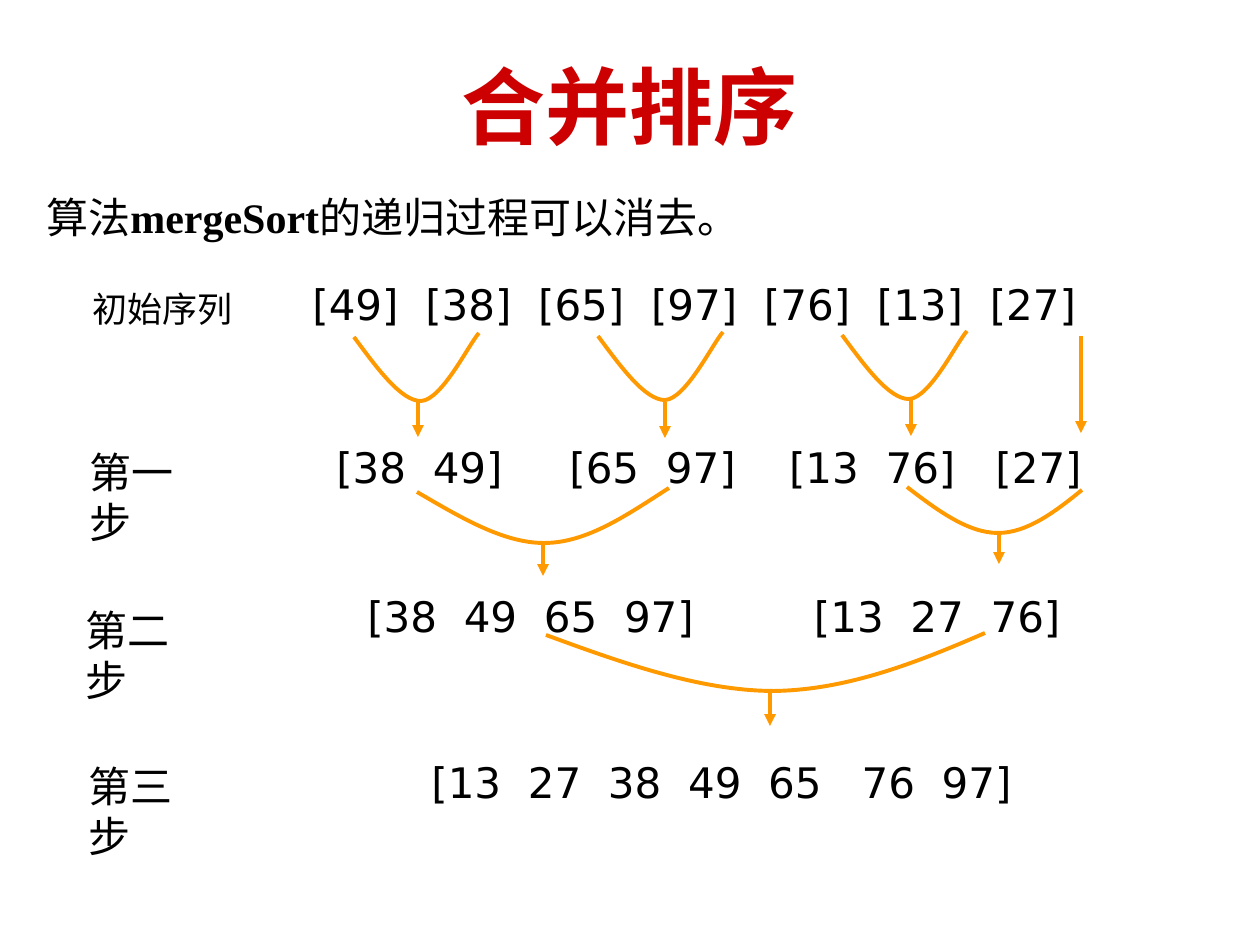
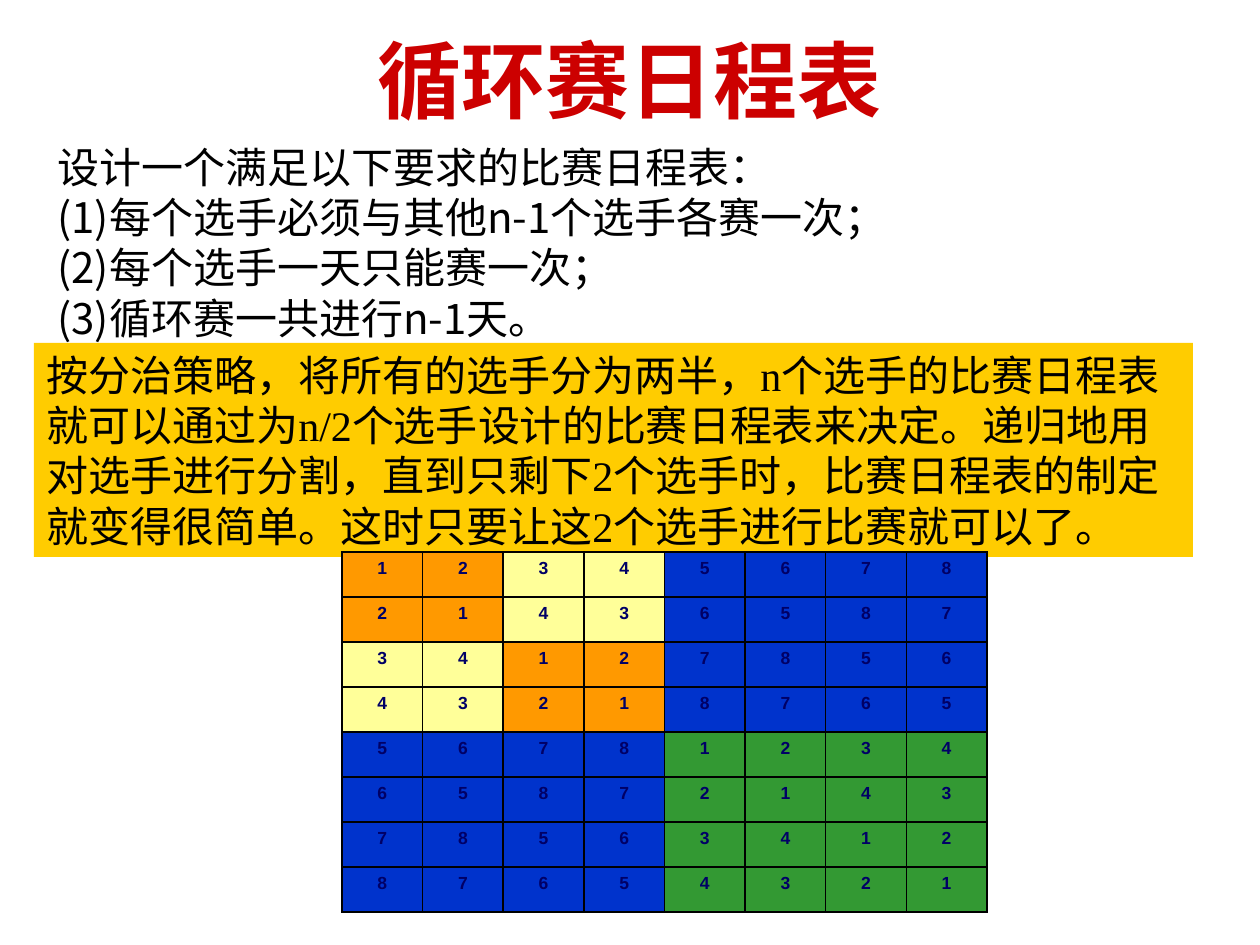
from lxml.etree import SubElement
from pptx import Presentation
from pptx.dml.color import RGBColor
from pptx.enum.shapes import MSO_CONNECTOR as CONN, MSO_SHAPE as SHAPE
from pptx.enum.text import MSO_ANCHOR as ANCHOR, PP_ALIGN as ALIGN
from pptx.oxml.ns import qn
from pptx.util import Pt

PX = 914400 / 126
RED, BLACK, ORANGE, GOLD = "CC0000", "000000", "FF9900", "FFCC00"
YELLOW, BLUE, GREEN, NAVY = "FFFF99", "0033CC", "339933", "000066"
CJK, SERIF, SANS, ARIAL = "Noto Sans CJK SC", "Times New Roman", "DejaVu Sans", "Arial"

# Slide 1: merge sort
MERGE_TITLE = ("合并排序", 26)
INTRO = [("算法", False), ("mergeSort", True), ("的递归过程可以消去。", False)]
LABELS = [  # text, left, top, width, size
    ("初始序列", 80, 281, 175, 20),
    ("第一步", 77, 440, 120, 24),
    ("第二步", 73, 598, 120, 24),
    ("第三步", 76, 754, 120, 24),
]
SEQUENCES = [  # left, top, width, tokens, gap after each token in spaces
    (300, 272, 845, ["[49]", "[38]", "[65]", "[97]", "[76]", "[13]", "[27]"],
     [2] * 6),
    (324, 435, 819, ["[38", "49]", "[65", "97]", "[13", "76]", "[27]"],
     [2, 5, 2, 4, 2, 3]),
    (355, 584, 757, ["[38", "49", "65", "97]", "[13", "27", "76]"],
     [2, 2, 2, 9, 2, 2]),
    (419, 750, 630, ["[13", "27", "38", "49", "65", "76", "97]"],
     [2, 2, 2, 2, 3, 2]),
]
DIGIT, BRACKET, SPACE = 26.7, 16.4, 13.35  # advance widths at 24 pt, in px

# Each merge is two cubic curves: start, then control, control, end twice
PAIR = [(354, 337), (377, 368), (401, 401), (421, 401),
        (442, 400), (469, 344), (479, 333)]
MERGES = [[(x + 244 * i, y - i) for x, y in PAIR] for i in range(3)] + [
    [(417, 492), (460, 517), (503, 543), (544, 543),
     (587, 543), (627, 515), (669, 488)],
    [(907, 487), (937, 510), (968, 533), (998, 533),
     (1027, 533), (1055, 512), (1082, 490)],
    [(546, 635), (622, 663), (701, 691), (774, 691),
     (847, 690), (916, 663), (985, 633)],
]
ARROWS = [(418, 401, 437), (665, 402, 438), (911, 399, 436), (1081, 336, 433),
          (543, 544, 576), (999, 533, 564), (770, 689, 726)]  # x, from y, to y

# Slide 2: round robin
ROBIN_TITLE = ("循环赛日程表", 0)
RULES = [
    ("设计一个满足以下要求的比赛日程表：", SERIF),
    ("(1)每个选手必须与其他n-1个选手各赛一次；", CJK),
    ("(2)每个选手一天只能赛一次；", CJK),
    ("(3)循环赛一共进行n-1天。", CJK),
]
STRATEGY = ("按分治策略，将所有的选手分为两半，n个选手的比赛日程表就可以通过为n/2个选手"
            "设计的比赛日程表来决定。递归地用对选手进行分割，直到只剩下2个选手时，"
            "比赛日程表的制定就变得很简单。这时只要让这2个选手进行比赛就可以了。")
PLAYERS = 8
TABLE_BOX = (342, 552, 645, 360)


def emu(px):
    return round(px * PX)


def rgb(color):
    return RGBColor.from_string(color)


def style(r, size, font, color=BLACK, bold=False):
    r.font.size, r.font.name, r.font.bold = Pt(size), font, bold
    r.font.color.rgb = rgb(color)
    SubElement(r.font._element, qn("a:ea"), typeface=CJK)


def add_text(slide, box, paragraphs, size, color=BLACK, bold=False):
    """Add a wrapped text box from (text, font) pairs, one per paragraph."""
    tf = slide.shapes.add_textbox(*map(emu, box)).text_frame
    tf.word_wrap = True
    tf.text = "\n".join(text for text, _ in paragraphs)
    for p, (_, font) in zip(tf.paragraphs, paragraphs):
        style(p.runs[0], size, font, color, bold)
    return tf


def add_slide(prs, title, top):
    slide = prs.slides.add_slide(prs.slide_layouts[6])
    tf = add_text(slide, (95, top, 1070, 158), [(title, CJK)], 48, RED, True)
    tf.vertical_anchor = ANCHOR.MIDDLE
    tf.paragraphs[0].alignment = ALIGN.CENTER
    return slide


def token_width(token):
    return sum(BRACKET if ch in "[]" else DIGIT for ch in token)


def add_sequence(slide, left, top, width, tokens, gaps):
    """Lay out the tokens on one line with a tab stop before each."""
    tf = add_text(slide, (left, top, width, 63), [("\t".join(tokens), SANS)], 24)
    tabs = SubElement(tf.paragraphs[0]._p.get_or_add_pPr(), qn("a:tabLst"))
    x = 0
    for token, gap in zip(tokens, gaps):
        x += token_width(token) + gap * SPACE
        SubElement(tabs, qn("a:tab"), pos=str(emu(x)), algn="l")


def format_line(line):
    line.color.rgb, line.width = rgb(ORANGE), Pt(2.25)


def add_merge(slide, points):
    """Outline the points, then turn each three segments into one cubic curve."""
    start, *rest = [tuple(map(emu, pt)) for pt in points]
    builder = slide.shapes.build_freeform(*start)
    builder.add_line_segments(rest, close=False)
    sp = builder.convert_to_shape()
    path = next(sp._element.iter(qn("a:path")))
    for i, segment in enumerate(path.findall(qn("a:lnTo"))):
        if i % 3 == 0:
            curve = SubElement(path, qn("a:cubicBezTo"))
        curve.append(segment[0])
        path.remove(segment)
    sp.fill.background()
    sp.shadow.inherit = False
    format_line(sp.line)


def add_arrow(slide, x, y1, y2):
    arrow = slide.shapes.add_connector(CONN.STRAIGHT, *map(emu, (x, y1, x, y2)))
    format_line(arrow.line)
    SubElement(arrow.line._get_or_add_ln(), qn("a:tailEnd"), type="triangle")
    SubElement(arrow._element.spPr, qn("a:effectLst"))


def cell_color(row, col):
    half = PLAYERS // 2
    if row // half != col // half:
        return BLUE
    if row >= half:
        return GREEN
    return ORANGE if row // 2 == col // 2 else YELLOW


def add_borders(cell):
    tcPr = cell._tc.get_or_add_tcPr()
    for i, side in enumerate(("lnL", "lnR", "lnT", "lnB")):
        ln = tcPr.makeelement(qn(f"a:{side}"), {"w": str(Pt(1))})
        SubElement(SubElement(ln, qn("a:solidFill")), qn("a:srgbClr"), val=BLACK)
        tcPr.insert(i, ln)


def add_schedule(slide):
    left, top, width, height = TABLE_BOX
    table = slide.shapes.add_table(PLAYERS, PLAYERS, *map(emu, TABLE_BOX)).table
    for col in table.columns:
        col.width = emu(width / PLAYERS)
    for row in table.rows:
        row.height = emu(height / PLAYERS)
    for i in range(PLAYERS):
        for j in range(PLAYERS):
            cell = table.cell(i, j)
            cell.text = str((i ^ j) + 1)
            p = cell.text_frame.paragraphs[0]
            p.alignment = ALIGN.CENTER
            style(p.runs[0], 10, ARIAL, NAVY, True)
            cell.fill.solid()
            cell.fill.fore_color.rgb = rgb(cell_color(i, j))
            add_borders(cell)


def build_merge_sort(prs):
    slide = add_slide(prs, *MERGE_TITLE)
    tf = slide.shapes.add_textbox(*map(emu, (34, 185, 1181, 63))).text_frame
    tf.word_wrap = True
    for text, bold in INTRO:
        r = tf.paragraphs[0].add_run()
        r.text = text
        style(r, 24, SERIF, bold=bold)
    for text, left, top, width, size in LABELS:
        add_text(slide, (left, top, width, 50), [(text, SANS)], size)
    for sequence in SEQUENCES:
        add_sequence(slide, *sequence)
    for points in MERGES:
        add_merge(slide, points)
    for arrow in ARROWS:
        add_arrow(slide, *arrow)


def build_round_robin(prs):
    slide = add_slide(prs, *ROBIN_TITLE)
    add_text(slide, (45, 135, 1154, 214), RULES, 24)
    band = slide.shapes.add_shape(SHAPE.RECTANGLE, *map(emu, (34, 343, 1159, 214)))
    band.fill.solid()
    band.fill.fore_color.rgb = rgb(GOLD)
    band.line.fill.background()
    band.shadow.inherit = False
    tf = band.text_frame
    tf.word_wrap, tf.vertical_anchor = True, ANCHOR.TOP
    tf.text = STRATEGY
    tf.paragraphs[0].alignment = ALIGN.LEFT
    style(tf.paragraphs[0].runs[0], 24, SERIF)
    add_schedule(slide)


def main():
    prs = Presentation()
    prs.slide_width, prs.slide_height = emu(1260), emu(945)
    build_merge_sort(prs)
    build_round_robin(prs)
    prs.save("out.pptx")


if __name__ == "__main__":
    main()
